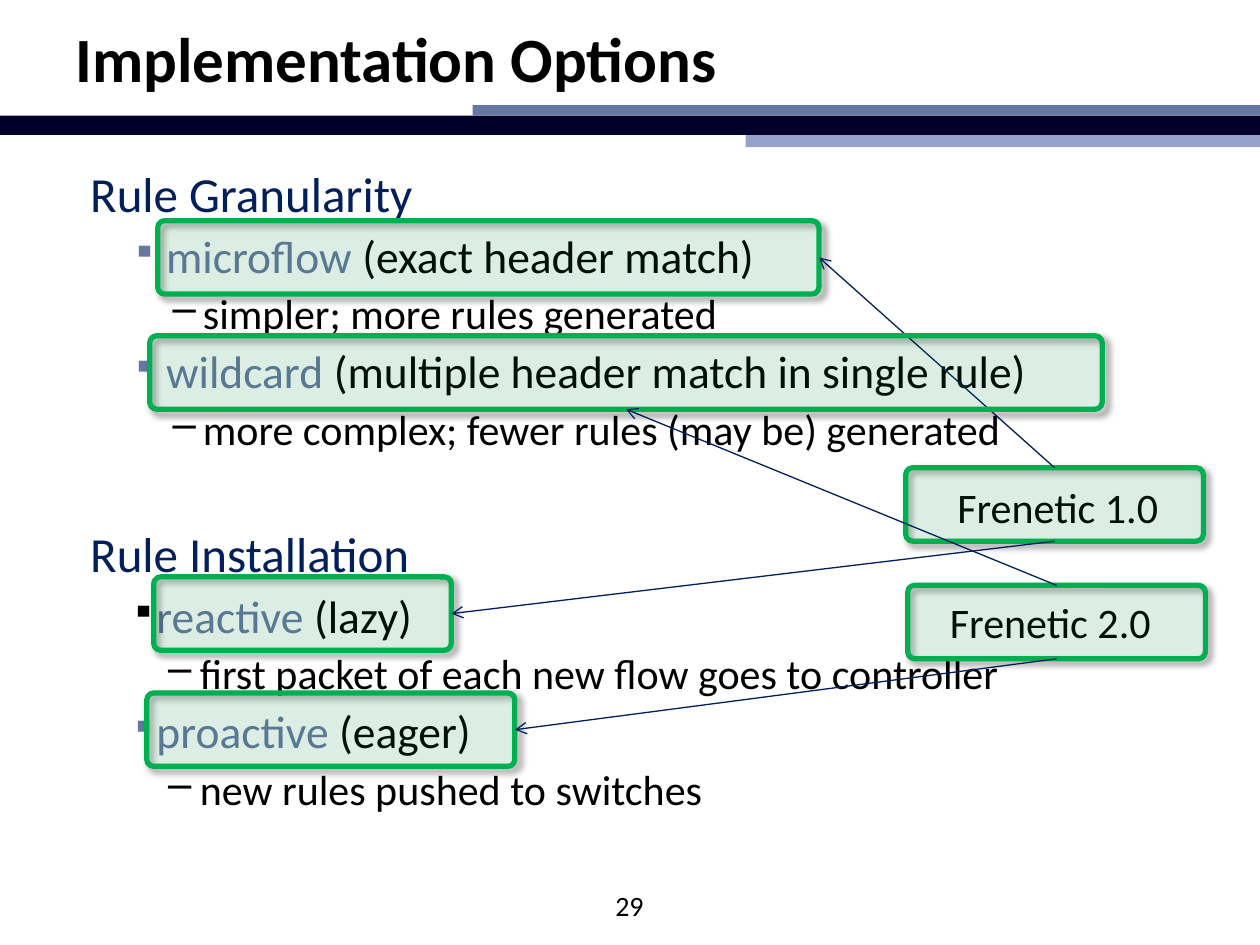
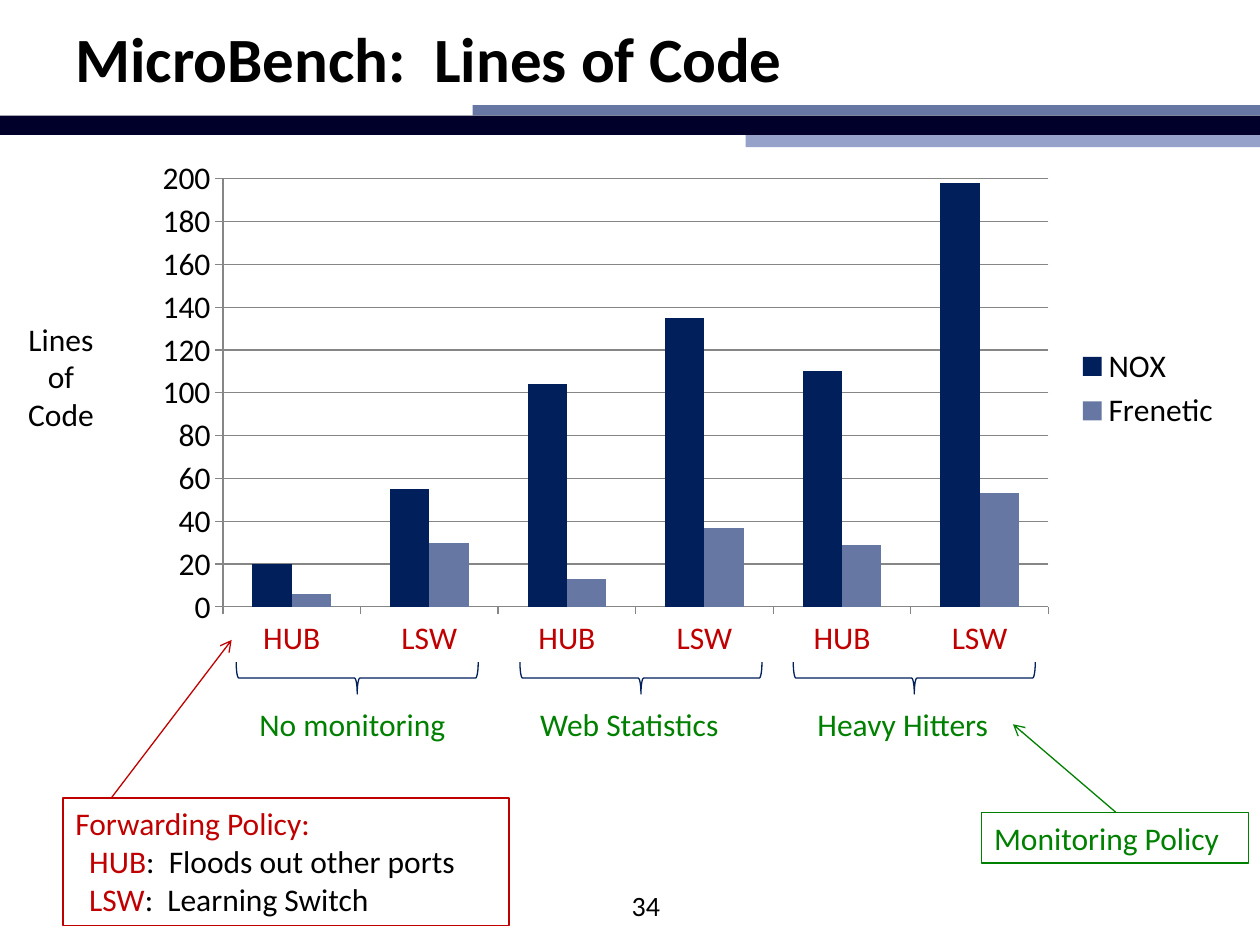
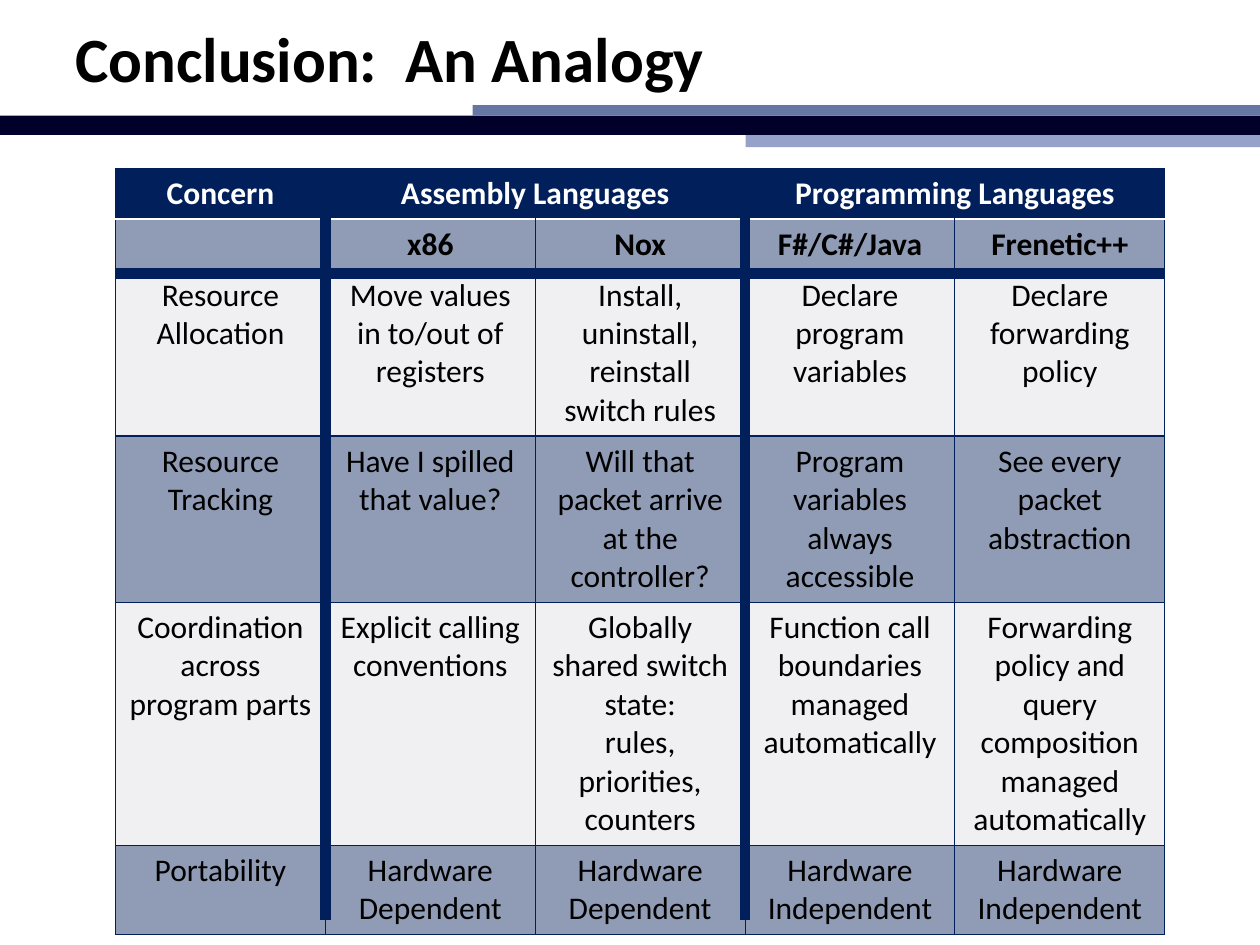
from dataclasses import dataclass

from lxml import etree
from pptx import Presentation
from pptx import util as u
from pptx.chart import data as chart_data
from pptx.dml.color import RGBColor
from pptx.enum import chart as charts, shapes, text
from pptx.oxml import parse_xml
from pptx.oxml.ns import nsdecls, qn


@dataclass(frozen=True)
class Theme:
    font: str = "Calibri"
    black: str = "000000"
    white: str = "FFFFFF"
    navy: str = "011F5B"
    midnight: str = "01002B"
    slate: str = "6677A3"
    lavender: str = "97A2CA"
    green: str = "00B050"
    leaf: str = "008000"
    red: str = "C00000"
    grid: str = "868686"
    row_dark: str = "909CB5"
    row_light: str = "F0F0F2"
    title: int = 36
    heading: int = 28
    item: int = 26
    detail: int = 24
    small: int = 18
    number: int = 16


T = Theme()

# Shared bands: left, top, width, height in cm, colour
BANDS = [
    (15.03, 2.54, 10.37, 0.43, T.lavender),
    (9.53, 2.12, 15.87, 0.21, T.slate),
    (0, 2.33, 25.4, 0.39, T.midnight),
]

# Slide 1: each topic has (margin, hang) for items and details
TOPICS = [
    dict(heading="Rule Granularity", before=0, item=(1.83, 0.69), detail=(2.57, 0.61),
         options=[("microflow", " (exact header match)", T.slate,
                   "simpler; more rules generated"),
                  ("wildcard", " (multiple header match in single rule)", T.slate,
                   "more complex; fewer rules (may be) generated")]),
    dict(heading="Rule Installation", before=40, item=(1.6, 0.48), detail=(2.51, 0.64),
         options=[("reactive", " (lazy)", T.black,
                   "first packet of each new flow goes to controller"),
                  ("proactive", " (eager)", T.slate,
                   "new rules pushed to switches")]),
]
TOP, BOTTOM, RIGHT = 0, 2, 3  # connection sites of a rounded rectangle
FRAME_HEIGHT = 1.48
# Frames are left, top, width; choices are frame and the site the arrow meets
VERSIONS = [
    dict(label="Frenetic 1.0", label_at=(19.05, 9.58), frame=(18.26, 9.43, 6),
         choices=[((3.18, 4.45, 13.33), RIGHT), ((3.1, 11.63, 6), RIGHT)]),
    dict(label="Frenetic 2.0", label_at=(18.9, 11.91), frame=(18.3, 11.8, 6),
         choices=[((3.02, 6.77, 19.2), BOTTOM), ((2.96, 13.97, 7.42), RIGHT)]),
]

# Slide 2
PROGRAMS = ["HUB", "LSW"] * 3
LINE_COUNTS = [
    ("NOX", (20, 55, 104, 135, 110, 198), T.navy),
    ("Frenetic", (6, 30, 13, 37, 29, 53), T.slate),
]
# Label, left of brace, left of label
MONITORING = [
    ("No monitoring", 6.88, 4.98),
    ("Web Statistics", 12.6, 10.64),
    ("Heavy Hitters", 18.11, 16.23),
]
POLICIES = [("HUB", ":  Floods out other ports"), ("LSW", ":  Learning Switch")]

# Slide 3: a line break starts a new paragraph
ANALOGY = [
    ("Concern", "Assembly Languages", "", "Programming Languages", ""),
    ("", "x86", "Nox", "F#/C#/Java", "Frenetic++"),
    ("Resource\nAllocation", "Move values in to/out of registers",
     "Install, uninstall, reinstall switch rules",
     "Declare\nprogram variables", "Declare\nforwarding policy"),
    ("Resource\nTracking", "Have I spilled that value?",
     "Will that packet arrive at the controller?",
     "Program variables always accessible", "See every packet abstraction"),
    ("Coordination across program parts", "Explicit calling conventions",
     "Globally shared switch state:\nrules, priorities, counters",
     "Function call boundaries managed automatically",
     "Forwarding policy and query composition managed automatically"),
    ("Portability", "Hardware Dependent", "Hardware\nDependent",
     "Hardware Independent", "Hardware Independent"),
]
ROW_LINES = (1, 1, 4, 4, 6, 2)
TABLE_LEFT, TABLE_TOP, COLUMN = 2.33, 3.39, 4.23


def cm(*lengths):
    return [u.Cm(length) for length in lengths]


def rgb(color):
    return RGBColor.from_string(color)


def say(frame, words, size=T.small, color=T.black, bold=False, align="LEFT",
        before=0, margin=0, hang=0, bullet=None, bullet_color=T.black, bullet_size=100):
    """Write one paragraph; words is a string or a list of (text, colour)."""
    para = frame.paragraphs[0]
    if para.runs:
        para = frame.add_paragraph()
    props = para._p.get_or_add_pPr()
    props.set("marL", str(u.Cm(margin)))
    props.set("indent", str(-u.Cm(hang)))
    if bullet:
        mark = etree.SubElement(props, qn("a:buClr"))
        etree.SubElement(mark, qn("a:srgbClr"), val=bullet_color)
        etree.SubElement(props, qn("a:buSzPct"), val=str(bullet_size * 1000))
        etree.SubElement(props, qn("a:buChar"), char=bullet)
    para.alignment = getattr(text.PP_ALIGN, align)
    para.space_before = u.Pt(before)
    for part, part_color in [(words, color)] if isinstance(words, str) else words:
        span = para.add_run()
        span.text = part
        span.font.name, span.font.size, span.font.bold = T.font, u.Pt(size), bold
        span.font.color.rgb = rgb(part_color)


def text_box(page, place, *lines, anchor="TOP", **style):
    box = page.shapes.add_textbox(*cm(*place))
    frame = box.text_frame
    frame.word_wrap = True
    frame.vertical_anchor = getattr(text.MSO_ANCHOR, anchor)
    for line in lines:
        say(frame, line, **style)
    return box


def outline(box, color, width=0.75):
    box.line.color.rgb = rgb(color)
    box.line.width = u.Pt(width)


def shape(page, kind, place, fill=None, line=None, width=0.75):
    box = page.shapes.add_shape(getattr(shapes.MSO_SHAPE, kind), *cm(*place))
    box.shadow.inherit = False
    if fill:
        box.fill.solid()
        box.fill.fore_color.rgb = rgb(fill)
    else:
        box.fill.background()
    if line:
        outline(box, line, width)
    else:
        box.line.fill.background()
    return box


def connector(page, start=(0, 0), end=(0, 0), color=T.navy, width=0.75, arrow=True):
    line = page.shapes.add_connector(shapes.MSO_CONNECTOR.STRAIGHT, *cm(*start, *end))
    outline(line, color, width)
    if arrow:
        etree.SubElement(line.line._get_or_add_ln(), qn("a:tailEnd"), type="arrow")
    etree.SubElement(line._element.spPr, qn("a:effectLst"))
    return line


def new_page(deck, title, number=None, number_left=0):
    page = deck.slides.add_slide(deck.slide_layouts[6])
    for *place, color in BANDS:
        shape(page, "RECTANGLE", place, fill=color)
    text_box(page, (1.27, 0, 23.06, 2.33), title, anchor="MIDDLE", size=T.title, bold=True)
    if number:
        text_box(page, (number_left, 17.78, 2.12, 1.27), number, size=T.number, align="CENTER")
    return page


def highlight(page, left, top, width):
    """Translucent green frame with a soft shadow."""
    box = shape(page, "ROUNDED_RECTANGLE", (left, top, width, FRAME_HEIGHT),
                fill=T.green, line=T.green, width=3)
    box.adjustments[0] = 0.095
    props = box._element.spPr
    tint = props.find(qn("a:solidFill")).find(qn("a:srgbClr"))
    etree.SubElement(tint, qn("a:alpha"), val="10000")
    shadow = etree.SubElement(props.find(qn("a:effectLst")), qn("a:outerShdw"),
                              blurRad=str(u.Pt(4)), dist=str(u.Pt(3)), dir="2700000",
                              algn="tl", rotWithShape="0")
    shade = etree.SubElement(shadow, qn("a:srgbClr"), val=T.black)
    etree.SubElement(shade, qn("a:alpha"), val="40000")
    return box


def options_page(deck):
    page = new_page(deck, "Implementation Options", "29", 11.63)
    frame = text_box(page, (1.27, 3.18, 22.86, 14.6)).text_frame
    for topic in TOPICS:
        say(frame, topic["heading"], size=T.heading, color=T.navy,
            before=topic["before"], margin=0.3)
        for name, meaning, mark_color, detail in topic["options"]:
            margin, hang = topic["item"]
            say(frame, [(name, T.slate), (meaning, T.black)], size=T.item, before=3,
                margin=margin, hang=hang, bullet="▪", bullet_color=mark_color, bullet_size=75)
            margin, hang = topic["detail"]
            say(frame, detail, size=T.detail, before=3, margin=margin, hang=hang, bullet="–")

    # Versions and the options they chose
    for version in VERSIONS:
        targets = [(highlight(page, *place), site) for place, site in version["choices"]]
        text_box(page, (*version["label_at"], 5.03, 1.27), version["label"], size=T.detail)
        source = highlight(page, *version["frame"])
        for exit_site, (target, site) in zip((TOP, BOTTOM), targets):
            arrow = connector(page)
            arrow.begin_connect(source, exit_site)
            arrow.end_connect(target, site)


def add_line_chart_of_code(page):
    data = chart_data.CategoryChartData()
    data.categories = PROGRAMS
    for name, counts, _ in LINE_COUNTS:
        data.add_series(name, counts)
    chart = page.shapes.add_chart(charts.XL_CHART_TYPE.COLUMN_CLUSTERED,
                                  *cm(2.65, 2.12, 22.22, 11.43), data).chart
    chart.has_title = False
    chart.font.name, chart.font.size = T.font, u.Pt(T.small)
    chart.font.color.rgb = rgb(T.black)
    chart.has_legend = True
    chart.legend.position = charts.XL_LEGEND_POSITION.RIGHT
    chart.legend.include_in_layout = False

    plot = chart.plots[0]
    plot.gap_width, plot.overlap, plot.vary_by_categories = 150, 0, False
    for series, (_, _, color) in zip(plot.series, LINE_COUNTS):
        series.format.fill.solid()
        series.format.fill.fore_color.rgb = rgb(color)

    values, names = chart.value_axis, chart.category_axis
    values.minimum_scale, values.maximum_scale, values.major_unit = 0, 200, 20
    values.has_major_gridlines = True
    for line in (values.major_gridlines.format.line, values.format.line, names.format.line):
        line.color.rgb = rgb(T.grid)
        line.width = u.Pt(0.75)
    for axis in (values, names):
        axis.major_tick_mark = charts.XL_TICK_MARK.OUTSIDE
    labels = names.tick_labels.font
    labels.name, labels.size = T.font, u.Pt(T.small)
    labels.color.rgb = rgb(T.red)

    # Clear background and fixed plot area
    space = chart._chartSpace
    space.find(qn("c:txPr")).addprevious(parse_xml(
        f'<c:spPr {nsdecls("c", "a")}><a:noFill/><a:ln><a:noFill/></a:ln></c:spPr>'))
    area = space.chart.plotArea
    for old in area.findall(qn("c:layout")):
        area.remove(old)
    layout = etree.Element(qn("c:layout"))
    manual = etree.SubElement(layout, qn("c:manualLayout"))
    settings = dict(layoutTarget="inner", xMode="edge", yMode="edge",
                    x="0.083", y="0.13", w="0.749", h="0.755")
    for key, value in settings.items():
        etree.SubElement(manual, qn(f"c:{key}"), val=value)
    area.insert(0, layout)


def bench_page(deck):
    page = new_page(deck, "MicroBench:  Lines of Code", "34", 11.96)
    add_line_chart_of_code(page)
    text_box(page, (0.2, 6.32, 2.06, 2.57), "Lines", "of", "Code", align="CENTER")

    # Monitoring groups
    for label, brace_left, label_left in MONITORING:
        brace = shape(page, "RIGHT_BRACE", (brace_left, 11.23, 0.64, 4.88), line=T.navy)
        brace.rotation = 90
        text_box(page, (label_left, 14.08, 4.57, 1.02), label, color=T.leaf)

    # Policy notes
    forwarding = text_box(page, (1.27, 16.09, 8.99, 2.57), "Forwarding Policy:", color=T.red)
    outline(forwarding, T.red)
    for name, meaning in POLICIES:
        say(forwarding.text_frame, [(name, T.red), (meaning, T.black)], margin=0.28)
    connector(page, (2.24, 16.09), (4.67, 12.9), T.red)
    monitoring = text_box(page, (19.79, 16.38, 5.38, 1.02), "Monitoring Policy", color=T.leaf)
    outline(monitoring, T.leaf)
    connector(page, (22.5, 16.38), (20.42, 14.6), T.leaf)


def dress_cell(cell, fill, edges):
    """Edges maps a side (L, R, T, B) to its colour and width."""
    props = cell._tc.get_or_add_tcPr()
    for side, (color, width) in edges.items():
        line = etree.SubElement(props, qn(f"a:ln{side}"), w=str(u.Pt(width)))
        paint = etree.SubElement(line, qn("a:solidFill"))
        etree.SubElement(paint, qn("a:srgbClr"), val=color)
    cell.fill.solid()
    cell.fill.fore_color.rgb = rgb(fill)


def analogy_page(deck):
    page = new_page(deck, "Conclusion:  An Analogy")
    heights = [0.775 * lines + 0.25 for lines in ROW_LINES]
    columns = len(ANALOGY[0])
    width = COLUMN * columns
    table = page.shapes.add_table(len(ANALOGY), columns, *cm(
        TABLE_LEFT, TABLE_TOP, width, sum(heights))).table
    table.first_row = table.horz_banding = False
    for column in table.columns:
        column.width = u.Cm(COLUMN)
    for first in (1, 3):
        table.cell(0, first).merge(table.cell(0, first + 1))

    for i, (row, height) in enumerate(zip(ANALOGY, heights)):
        table.rows[i].height = u.Cm(height)
        fill = T.navy if i == 0 else T.row_dark if i % 2 else T.row_light
        edges = {side: (T.navy, 0.75) for side in "LRTB"}
        if i < 2:
            edges["B" if i == 0 else "T"] = (T.white, 1.5)
        for j, words in enumerate(row):
            cell = table.cell(i, j)
            dress_cell(cell, fill, edges)
            for line in words.split("\n") if words else []:
                say(cell.text_frame, line, color=T.black if i else T.white,
                    bold=i < 2, align="CENTER")

    # Heavy dividers
    connector(page, (TABLE_LEFT, 5.51), (TABLE_LEFT + width, 5.51), width=6, arrow=False)
    for count in (1, 3):
        x = TABLE_LEFT + COLUMN * count
        connector(page, (x, 4.37), (x, 18.54), width=6, arrow=False)


def main():
    deck = Presentation()
    deck.slide_width, deck.slide_height = cm(25.4, 19.05)
    for build in (options_page, bench_page, analogy_page):
        build(deck)
    deck.save("out.pptx")


if __name__ == "__main__":
    main()
